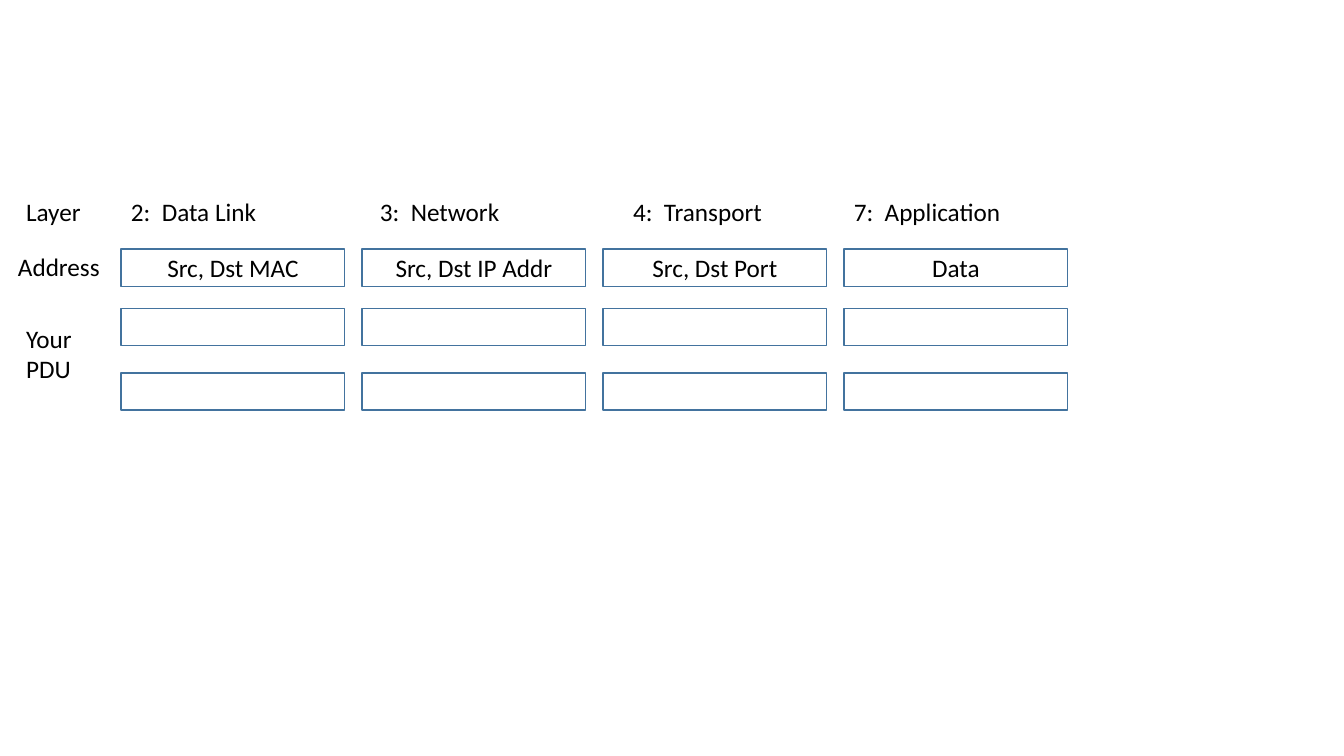
from dataclasses import dataclass

from pptx import Presentation
from pptx.dml.color import RGBColor
from pptx.enum.shapes import MSO_SHAPE
from pptx.enum.text import MSO_ANCHOR, MSO_AUTO_SIZE, PP_ALIGN
from pptx.util import Inches, Pt


@dataclass(frozen=True)
class Theme:
    font: str = "Calibri"
    size: int = 18
    line_width: int = 1
    text: RGBColor = RGBColor(0x00, 0x00, 0x00)
    fill: RGBColor = RGBColor(0xFF, 0xFF, 0xFF)
    line: RGBColor = RGBColor(0x43, 0x73, 0x9E)


class SlideBuilder:
    def __init__(self, slide, theme):
        self.s = slide
        self.theme = theme

    def set_text(self, tf, text, align):
        tf.word_wrap = True
        p = tf.paragraphs[0]
        p.text = text
        p.alignment = align
        p.font.name = self.theme.font
        p.font.size = Pt(self.theme.size)
        p.font.color.rgb = self.theme.text

    def label(self, text, left, top, width, height=0.4):
        tb = self.s.shapes.add_textbox(
            Inches(left), Inches(top), Inches(width), Inches(height))
        self.set_text(tb.text_frame, text, PP_ALIGN.LEFT)
        tb.text_frame.auto_size = MSO_AUTO_SIZE.SHAPE_TO_FIT_TEXT

    def field(self, text, left, top, width=2.22, height=0.37):
        """Draw one outlined box of a PDU row; the text may be empty."""
        sp = self.s.shapes.add_shape(
            MSO_SHAPE.RECTANGLE,
            Inches(left), Inches(top), Inches(width), Inches(height))
        sp.shadow.inherit = False
        sp.fill.solid()
        sp.fill.fore_color.rgb = self.theme.fill
        sp.line.color.rgb = self.theme.line
        sp.line.width = Pt(self.theme.line_width)
        sp.text_frame.vertical_anchor = MSO_ANCHOR.MIDDLE
        if text:
            self.set_text(sp.text_frame, text, PP_ALIGN.CENTER)


FIRST_COLUMN, COLUMN_STEP = 1.2, 2.39
HEADING_TOP, ADDRESS_TOP = 1.9, 2.47
PDU_TOPS = (3.06, 3.7)

# heading, heading left, heading width, address field
LAYERS = [
    ("2:  Data Link", 1.2, 1.78, "Src, Dst MAC"),
    ("3:  Network", 3.67, 1.68, "Src, Dst IP Addr"),
    ("4:  Transport", 6.18, 1.68, "Src, Dst Port"),
    ("7:  Application", 8.37, 1.68, "Data"),
]


def main():
    prs = Presentation()
    prs.slide_width, prs.slide_height = Inches(13.33), Inches(7.5)
    blank = prs.slide_layouts[6]
    builder = SlideBuilder(prs.slides.add_slide(blank), Theme())

    builder.label("Layer", 0.16, HEADING_TOP, 0.97)
    builder.label("Address", 0.08, 2.44, 1.12)
    for i, (heading, left, width, address) in enumerate(LAYERS):
        column = FIRST_COLUMN + i * COLUMN_STEP
        builder.label(heading, left, HEADING_TOP, width)
        builder.field(address, column, ADDRESS_TOP)
        for top in PDU_TOPS:
            builder.field("", column, top)
    builder.label("Your PDU", 0.16, 3.16, 1.12, 0.71)

    prs.save("out.pptx")


if __name__ == "__main__":
    main()
